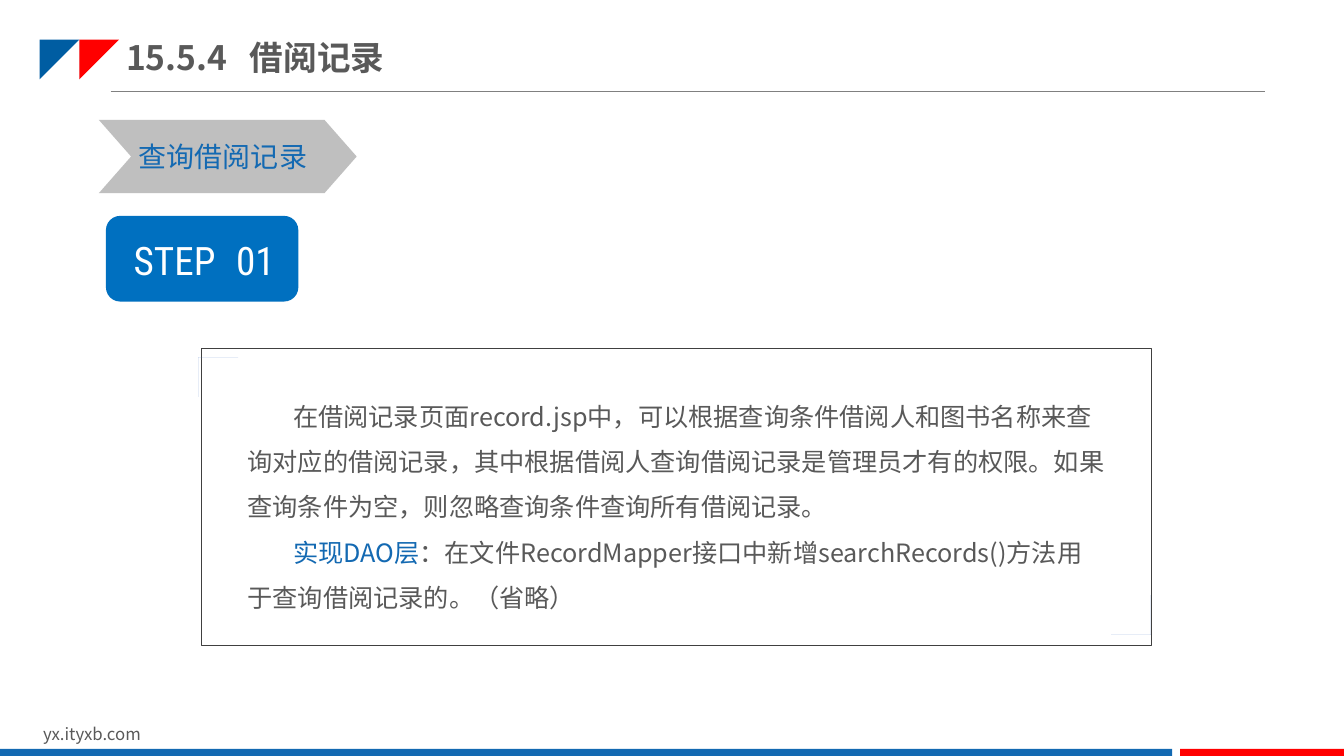
"""Build the slide on querying borrowing records."""
import pptx
import pptx.util
import pptx.dml.color
import pptx.enum.shapes
import pptx.enum.text
import pptx.oxml.ns
import lxml.etree

Cm = pptx.util.Cm
Pt = pptx.util.Pt
Kind = pptx.enum.shapes.MSO_SHAPE
Anchor = pptx.enum.text.MSO_ANCHOR
qn = pptx.oxml.ns.qn

HUES = {
    "navy": "005DA2", "sky": "3992DB", "red": "FF0000", "blue": "1369B2",
    "step": "0070C0", "edge": "4472C4", "text": "595959", "rule": "808080",
    "frame": "404040", "grey": "BFBFBF", "white": "FFFFFF",
}
SANS = "Noto Sans CJK SC"


class Deck:
    def __init__(self):
        self.file = pptx.Presentation()
        self.file.slide_width = Cm(33.87)
        self.file.slide_height = Cm(19.05)
        self.slide = self.file.slides.add_slide(self.file.slide_layouts[6])
        self.items = self.slide.shapes

    def hue(self, name):
        return pptx.dml.color.RGBColor.from_string(HUES[name])

    def paint(self, shape, fill=None, line=None):
        shape.shadow.inherit = False
        if fill:
            shape.fill.solid()
            shape.fill.fore_color.rgb = self.hue(fill)
        else:
            shape.fill.background()
        if line:
            shape.line.color.rgb = self.hue(line)
            shape.line.width = Pt(0.25)
        else:
            shape.line.fill.background()

    def shape(self, kind, box, fill=None, line=None, bend=None):
        shape = self.items.add_shape(kind, *map(Cm, box))
        if bend is not None:
            shape.adjustments[0] = bend
        self.paint(shape, fill, line)

    def outline(self, points, fill):
        path = self.items.build_freeform(*points[0], scale=Cm(1))
        path.add_line_segments(points[1:], close=True)
        self.paint(path.convert_to_shape(), fill)

    def rule(self, left, right, top):
        line = self.items.add_connector(
            pptx.enum.shapes.MSO_CONNECTOR.STRAIGHT,
            Cm(left), Cm(top), Cm(right), Cm(top))
        line.line.color.rgb = self.hue("rule")
        line.line.width = Pt(0.5)
        lxml.etree.SubElement(line._element.spPr, qn("a:effectLst"))

    def text(self, box, paras, size, color="text", font=SANS, bold=False,
             wrap=True, inset=0.25, anchor=Anchor.TOP, tab=None,
             indent=None, space=None):
        frame = self.items.add_textbox(*map(Cm, box)).text_frame
        frame.word_wrap = wrap
        frame.vertical_anchor = anchor
        frame.margin_left = frame.margin_right = Cm(inset)
        for at, runs in enumerate(paras):
            para = frame.add_paragraph() if at else frame.paragraphs[0]
            props = para._p.get_or_add_pPr()
            if indent:
                props.set("indent", str(Cm(indent)))
            if space:
                para.line_spacing = space
            if tab:
                tabs = lxml.etree.SubElement(props, qn("a:tabLst"))
                lxml.etree.SubElement(
                    tabs, qn("a:tab"), pos=str(Cm(tab)), algn="l")
            para.font.size = Pt(size)
            para.font.bold = bold
            para.font.color.rgb = self.hue(color)
            para.font.name = font
            lxml.etree.SubElement(
                props.find(qn("a:defRPr")), qn("a:ea"), typeface=font)
            for words, tint in runs:
                run = para.add_run()
                run.text = words
                if tint:
                    run.font.color.rgb = self.hue(tint)

    def arrow(self, left, top, fill):
        steps = [(0, 0.11), (0.12, 0), (0.5, 0.38),
                 (0.12, 0.76), (0, 0.65), (0.27, 0.38)]
        self.outline([(left + x, top + y) for x, y in steps], fill)

    def corner(self, left, top, way):
        long, thick = 1.07, 0.31
        steps = [(0, 0), (long, 0), (long, thick),
                 (thick, thick), (thick, long), (0, long)]
        self.outline([(left + way * x, top + way * y) for x, y in steps],
                     "edge")


def main():
    deck = Deck()
    deck.rule(2.79, 31.88, 2.31)
    for at, fill in enumerate(("navy", "sky", "red")):
        deck.arrow(1.2 + at * 0.47, 1.09, fill)
    deck.text((0.84, 18.12, 8.08, 0.77), [[("yx.ityxb.com", None)]], 12)
    deck.shape(Kind.RECTANGLE, (0, 18.87, 29.54, 0.22), "blue")
    deck.shape(Kind.RECTANGLE, (29.74, 18.87, 4.13, 0.22), "red")

    deck.text((3.18, 0.74, 8.81, 1.4), [[("15.5.4\t借阅记录", None)]], 24,
              bold=True, inset=0, anchor=Anchor.MIDDLE, tab=3.12)
    deck.shape(Kind.CHEVRON, (2.49, 3.02, 6.5, 1.85), "grey", bend=0.44)
    deck.text((3.25, 3.38, 4.78, 1.11), [[("查询借阅记录", None)]], 20,
              "blue", wrap=False)

    deck.shape(Kind.ROUNDED_RECTANGLE, (2.67, 5.44, 4.85, 2.16), "step")
    deck.text((2.92, 5.82, 4.52, 1.45), [[("STEP\t01", None)]], 28, "white",
              "Roboto Condensed", inset=0.45, tab=2.58)

    deck.text((5.99, 9.6, 22.12, 5.89), [
        [("在借阅记录页面record.jsp中，可以根据查询条件借阅人和图书名称来查询"
          "对应的借阅记录，其中根据借阅人查询借阅记录是管理员才有的权限。"
          "如果查询条件为空，则忽略查询条件查询所有借阅记录。", None)],
        [("实现DAO层", "blue"),
         ("：在文件RecordMapper接口中新增searchRecords()方法"
          "用于查询借阅记录的。（省略）", None)],
    ], 18, indent=1.15, space=1.5)
    deck.shape(Kind.ROUNDED_RECTANGLE, (5.08, 8.78, 23.93, 7.49),
               line="frame", bend=0)
    deck.corner(4.93, 8.56, 1)
    deck.corner(29.18, 16.49, -1)
    deck.file.save("out.pptx")


if __name__ == "__main__":
    main()
